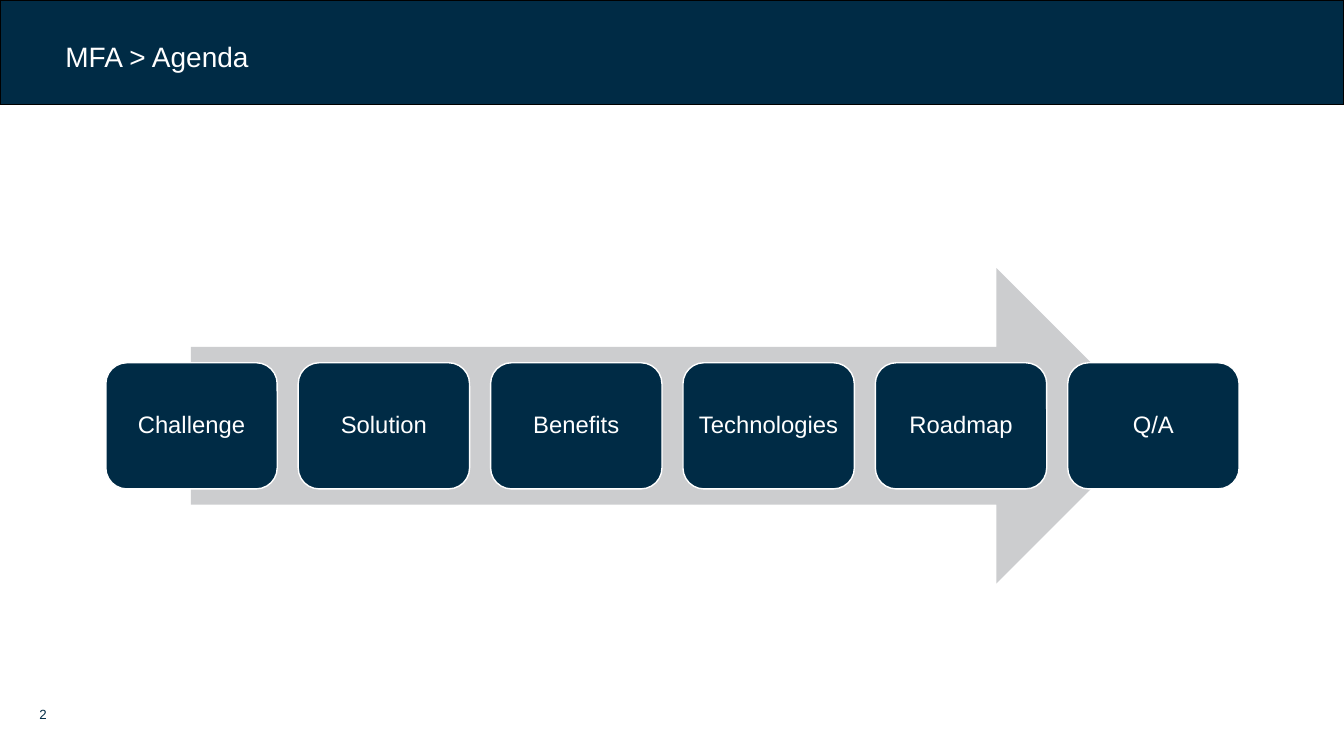
from pptx import Presentation
from pptx.dml.color import RGBColor
from pptx.enum.shapes import MSO_SHAPE
from pptx.enum.text import MSO_ANCHOR, PP_ALIGN
from pptx.util import Inches, Pt

RECT = MSO_SHAPE.RECTANGLE
ROUND_RECT = MSO_SHAPE.ROUNDED_RECTANGLE
RIGHT_ARROW = MSO_SHAPE.RIGHT_ARROW
MIDDLE, BOTTOM = MSO_ANCHOR.MIDDLE, MSO_ANCHOR.BOTTOM
LEFT, CENTER = PP_ALIGN.LEFT, PP_ALIGN.CENTER
NAVY, GREY, WHITE, BLACK = "002B45", "CCCDCF", "FFFFFF", "000000"
FONT = "Arial"
STEPS = ["Challenge", "Solution", "Benefits", "Technologies", "Roadmap", "Q/A"]


def color(value):
    return RGBColor.from_string(value)


def add_box(slide, kind, x, y, w, h, fill, line=None, width=1):
    sp = slide.shapes.add_shape(kind, Inches(x), Inches(y), Inches(w), Inches(h))
    sp.shadow.inherit = False
    sp.fill.solid()
    sp.fill.fore_color.rgb = color(fill)
    if line:
        sp.line.color.rgb = color(line)
        sp.line.width = Pt(width)
    else:
        sp.line.fill.background()
    return sp


def set_text(sp, text, size, ink, align=LEFT, anchor=MIDDLE, inset=(0.1, 0.05)):
    tf = sp.text_frame
    tf.text = text
    tf.word_wrap = True
    tf.vertical_anchor = anchor
    tf.margin_left = tf.margin_right = Inches(inset[0])
    tf.margin_top = tf.margin_bottom = Inches(inset[1])
    p = tf.paragraphs[0]
    p.alignment = align
    font = p.runs[0].font
    font.name = FONT
    font.size = Pt(size)
    font.color.rgb = color(ink)
    return p


def add_header(slide, x, y, w, h, title):
    add_box(slide, RECT, x, y, w, h, NAVY, BLACK)
    sp = add_box(slide, RECT, x + 0.55, y + 0.34, 8.85, 0.44, NAVY, NAVY, 0.75)
    set_text(sp, title, 20, WHITE)


def add_agenda(slide, x, y, w, h, steps):
    arrow_w = w * 0.85
    add_box(slide, RIGHT_ARROW, x + (w - arrow_w) / 2, y, arrow_w, h, GREY)
    step_w, step_h = 1.7, h * 0.4
    pitch = (w - step_w) / (len(steps) - 1)
    for i, step in enumerate(steps):
        sp = add_box(slide, ROUND_RECT, x + i * pitch, y + (h - step_h) / 2,
                     step_w, step_h, NAVY, WHITE)
        p = set_text(sp, step, 17, WHITE, CENTER, inset=(0.07, 0.07))
        p.line_spacing = 0.9


def add_page_number(slide, x, y, w, h, number):
    sp = slide.shapes.add_textbox(Inches(x), Inches(y), Inches(w), Inches(h))
    set_text(sp, number, 9.5, NAVY, anchor=BOTTOM, inset=(0, 0))


prs = Presentation()
prs.slide_width = Inches(13.33)
prs.slide_height = Inches(7.5)
slide = prs.slides.add_slide(prs.slide_layouts[6])
add_page_number(slide, 0.39, 6.96, 0.4, 0.2, "2")
add_agenda(slide, 1.05, 2.66, 11.24, 3.13, STEPS)
add_header(slide, 0, 0, 13.33, 1.04, "MFA > Agenda")
prs.save("out.pptx")
